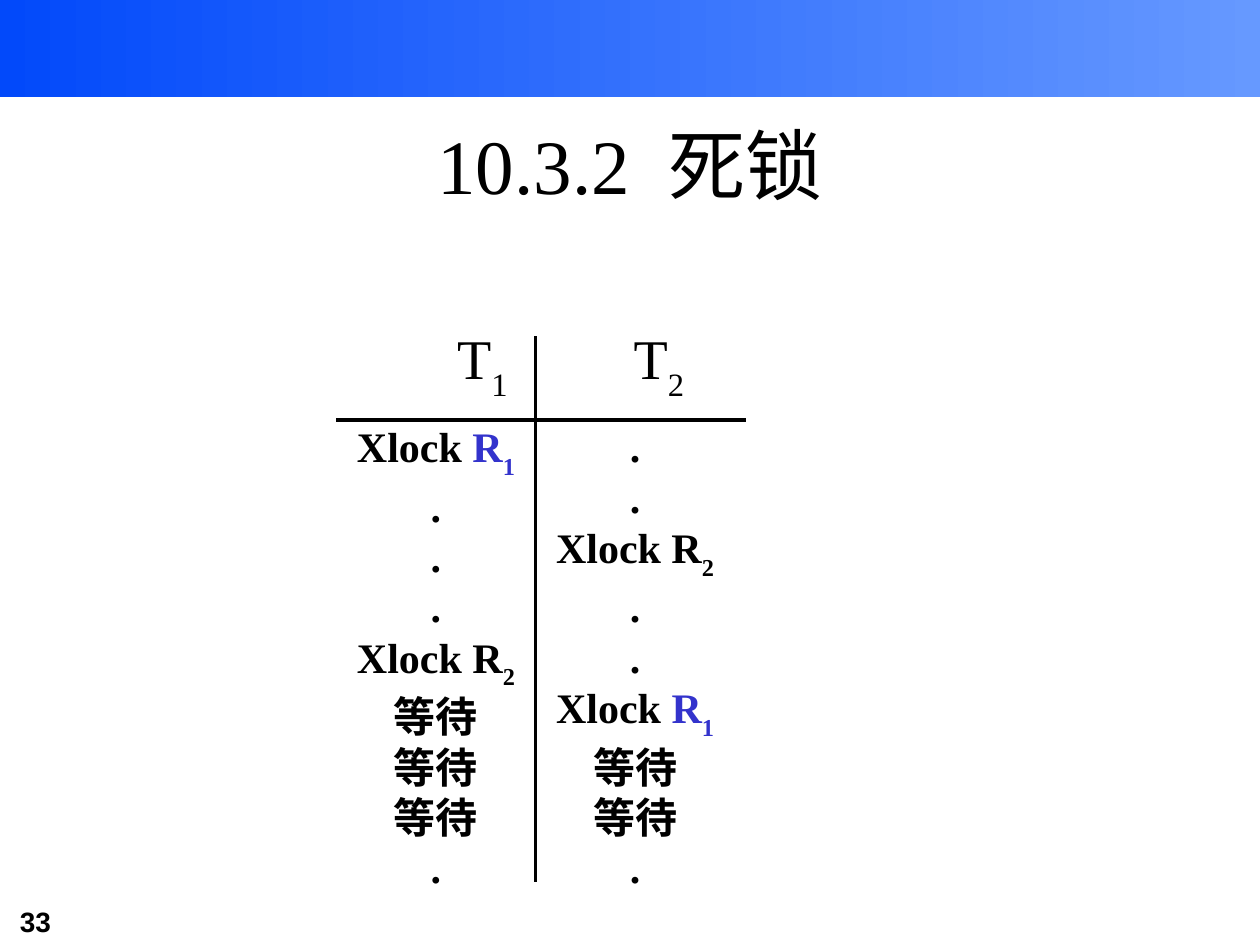
from lxml import etree
from pptx import Presentation
from pptx.dml.color import RGBColor
from pptx.enum.shapes import MSO_CONNECTOR, MSO_SHAPE
from pptx.enum.text import MSO_ANCHOR, PP_ALIGN
from pptx.oxml.ns import qn
from pptx.util import Inches, Pt

BLACK = RGBColor(0x00, 0x00, 0x00)
BLUE = RGBColor(0x33, 0x33, 0xCC)
BANNER_START = RGBColor(0x02, 0x49, 0xFA)
BANNER_END = RGBColor(0x66, 0x99, 0xFF)
SERIF = "Times New Roman"


def add_text_box(left, top, width, height, anchor=MSO_ANCHOR.TOP, wrap=True):
    box = slide.shapes.add_textbox(Inches(left), Inches(top), Inches(width), Inches(height))
    frame = box.text_frame
    frame.word_wrap = wrap
    frame.vertical_anchor = anchor
    return frame


def add_runs(paragraph, parts, size, bold=False):
    """Add (text, color, is_subscript) parts to a paragraph."""
    paragraph.font.name = SERIF
    paragraph.font.size = Pt(size)
    paragraph.font.bold = bold
    for text, color, is_subscript in parts:
        run = paragraph.add_run()
        run.text = text
        run.font.color.rgb = color
        if is_subscript:
            run.font._element.set("baseline", "-30000")


presentation = Presentation()
presentation.slide_width = Inches(10)
presentation.slide_height = Inches(7.5)
slide = presentation.slides.add_slide(presentation.slide_layouts[6])

# Gradient banner
banner = slide.shapes.add_shape(MSO_SHAPE.RECTANGLE, 0, 0, Inches(10), Inches(0.77))
banner.shadow.inherit = False
banner.line.fill.background()
banner.fill.gradient()
banner.fill.gradient_angle = 0
for stop, color in zip(banner.fill.gradient_stops, (BANNER_START, BANNER_END)):
    stop.color.rgb = color

# Page number
paragraph = add_text_box(0.06, 7.13, 1.22, 0.37).paragraphs[0]
paragraph.text = "33"
paragraph.font.name = "Arial"
paragraph.font.size = Pt(16)
paragraph.font.bold = True
paragraph.font.color.rgb = BLACK

# Title
paragraph = add_text_box(0.75, 0.67, 8.5, 1.25, MSO_ANCHOR.MIDDLE).paragraphs[0]
paragraph.alignment = PP_ALIGN.CENTER
add_runs(paragraph, [("10.3.2  死锁", BLACK, False)], 44)

# Transaction headings, the second one at a tab stop
frame = add_text_box(3.53, 2.52, 2.3, 0.65)
paragraph = frame.paragraphs[0]
tab_list = etree.SubElement(paragraph._p.get_or_add_pPr(), qn("a:tabLst"))
etree.SubElement(tab_list, qn("a:tab"), pos=str(Inches(1.4)), algn="l")
add_runs(paragraph, [("T", BLACK, False), ("1", BLACK, True),
                     ("\tT", BLACK, False), ("2", BLACK, True)], 32)

# Schedule rules
for x1, y1, x2, y2 in [(2.67, 3.33, 5.92, 3.33), (4.25, 2.67, 4.25, 7)]:
    rule = slide.shapes.add_connector(
        MSO_CONNECTOR.STRAIGHT, Inches(x1), Inches(y1), Inches(x2), Inches(y2))
    rule.line.color.rgb = BLACK
    rule.line.width = Pt(2.25)
    etree.SubElement(rule._element.spPr, qn("a:effectLst"))

# Steps of the two transactions
dot = [(".", BLACK, False)]
wait = [("等待", BLACK, False)]
lock_r1 = [("Xlock ", BLACK, False), ("R", BLUE, False), ("1", BLUE, True)]
lock_r2 = [("Xlock R", BLACK, False), ("2", BLACK, True)]
schedules = [
    (2.67, [lock_r1, dot, dot, dot, lock_r2, wait, wait, wait, dot]),
    (4.25, [dot, dot, lock_r2, dot, dot, lock_r1, wait, wait, dot]),
]
for left, steps in schedules:
    frame = add_text_box(left, 3.42, 1.58, 3.58, MSO_ANCHOR.MIDDLE, wrap=False)
    for index, step in enumerate(steps):
        paragraph = frame.add_paragraph() if index else frame.paragraphs[0]
        paragraph.alignment = PP_ALIGN.CENTER
        add_runs(paragraph, step, 24, bold=True)

presentation.save("out.pptx")
